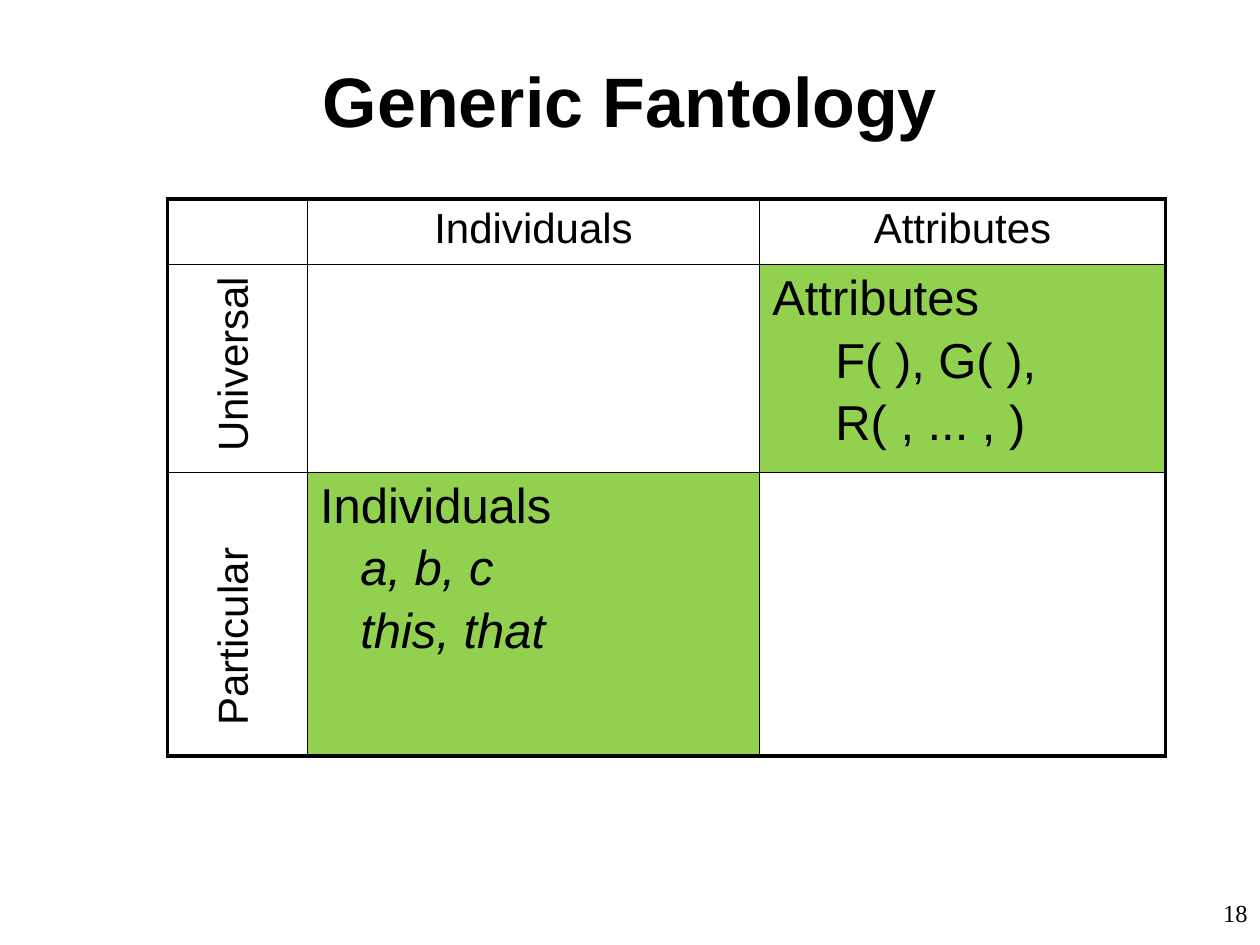
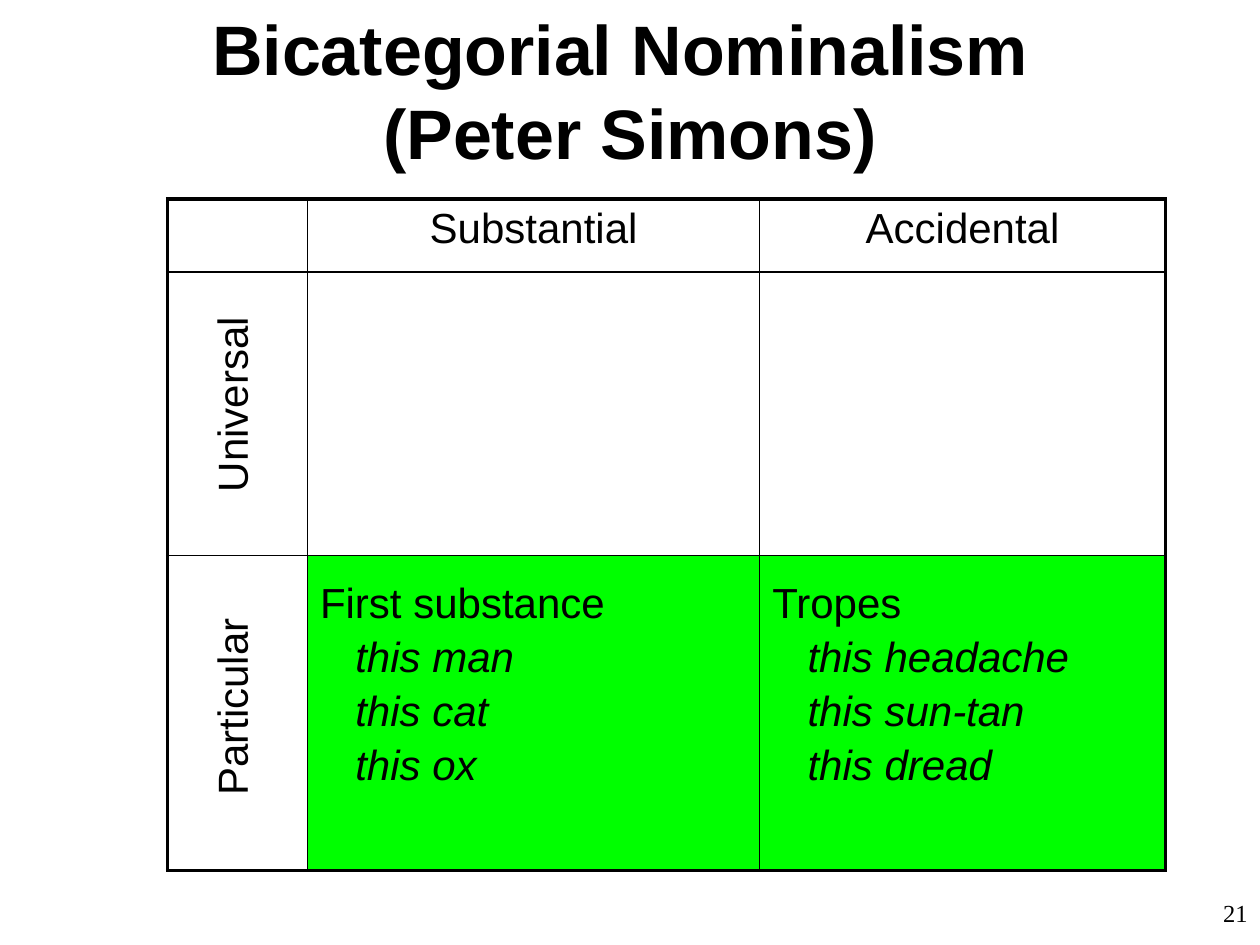
from dataclasses import dataclass, field

from lxml.etree import SubElement
from pptx import Presentation
from pptx.dml.color import RGBColor
from pptx.enum.text import MSO_ANCHOR as Anchor, PP_ALIGN as Align
from pptx.oxml.ns import qn
from pptx.util import Inches, Pt

COLORS = {"ink": "000000", "olive": "92D050", "lime": "00FF00"}
BODY_FONT, NUMBER_FONT = "Arial", "Times New Roman"
COLUMN_WIDTHS = (1.11, 3.59, 3.22)
TABLE_LEFT, TABLE_TOP = 1.33, 1.58
LABEL_WIDTH, LABEL_HEIGHT = 1.69, 0.5
LABEL_SIZE = 24
THIN, THICK = 1, 2.25


@dataclass
class Category:
    """A filled cell: a heading with indented examples."""
    heading: str
    examples: list[str]
    indent: float
    italic: bool = True


@dataclass
class Ontology:
    """One slide with its table of categories."""
    title: str
    title_top: float
    number: str
    headers: tuple[str, str]
    row_heights: tuple[float, float, float]
    label_tops: tuple[float, float]
    fill: str
    text_size: int
    top_margin: float
    categories: dict[tuple[int, int], Category] = field(default_factory=dict)


ONTOLOGIES = [
    Ontology(
        "Generic Fantology", 0.5, "18", ("Individuals", "Attributes"),
        (0.52, 1.65, 2.25), (2.59, 4.76), "olive", 28, 0.05,
        {(1, 2): Category("Attributes", ["F( ), G( ),", "R( , ... , )"], 0.5, False),
         (2, 1): Category("Individuals", ["a, b, c", "this, that"], 0.32)}),
    Ontology(
        "Bicategorial Nominalism \v(Peter Simons)", 0.42, "21",
        ("Substantial", "Accidental"),
        (0.58, 2.25, 2.5), (2.91, 5.32), "lime", 24, 0.2,
        {(2, 1): Category("First substance", ["this man", "this cat", "this ox"], 0.28),
         (2, 2): Category("Tropes", ["this headache", "this sun-tan", "this dread"], 0.28)}),
]


def style(para, size: int, font: str = BODY_FONT, bold: bool = False,
          italic: bool = False, align=Align.LEFT) -> None:
    para.alignment = align
    para.font.name, para.font.size = font, Pt(size)
    para.font.bold, para.font.italic = bold, italic
    para.font.color.rgb = RGBColor.from_string(COLORS["ink"])


def add_text(page, text: str, left: float, top: float, width: float,
             height: float, size: int, **look):
    box = page.shapes.add_textbox(*map(Inches, (left, top, width, height)))
    box.text_frame.word_wrap = True
    para = box.text_frame.paragraphs[0]
    para.text = text
    style(para, size, **look)
    return box


def set_borders(cell, row: int, column: int) -> None:
    """Thick lines around the table, thin lines inside it."""
    outer = {"L": column == 0, "R": column == 2, "T": row == 0, "B": row == 2}
    properties = cell._tc.get_or_add_tcPr()
    for side, is_outer in outer.items():
        line = SubElement(properties, qn(f"a:ln{side}"),
                          w=str(Pt(THICK if is_outer else THIN)))
        fill = SubElement(line, qn("a:solidFill"))
        SubElement(fill, qn("a:srgbClr"), val=COLORS["ink"])


def write_category(cell, category: Category, size: int, top_margin: float) -> None:
    cell.margin_top = Inches(top_margin)
    frame = cell.text_frame
    frame.text = category.heading
    style(frame.paragraphs[0], size)
    for example in category.examples:
        para = frame.add_paragraph()
        para.text = example
        para._p.get_or_add_pPr().set("marL", str(Inches(category.indent)))
        para.space_before = Pt(round(size / 6, 1))
        style(para, size, italic=category.italic)


def add_category_table(page, ontology: Ontology) -> None:
    table = page.shapes.add_table(
        3, 3, Inches(TABLE_LEFT), Inches(TABLE_TOP),
        Inches(sum(COLUMN_WIDTHS)), Inches(sum(ontology.row_heights))).table
    table.first_row = table.horz_banding = False
    for column, width in zip(table.columns, COLUMN_WIDTHS):
        column.width = Inches(width)
    for row, height in zip(table.rows, ontology.row_heights):
        row.height = Inches(height)

    # Borders and fills
    for row in range(3):
        for column in range(3):
            cell = table.cell(row, column)
            set_borders(cell, row, column)
            category = ontology.categories.get((row, column))
            if category:
                cell.fill.solid()
                cell.fill.fore_color.rgb = RGBColor.from_string(COLORS[ontology.fill])
                write_category(cell, category, ontology.text_size, ontology.top_margin)
            else:
                cell.fill.background()

    # Column headers
    for column, header in enumerate(ontology.headers, start=1):
        para = table.cell(0, column).text_frame.paragraphs[0]
        para.text = header
        style(para, LABEL_SIZE, align=Align.CENTER)


def add_ontology(deck, ontology: Ontology) -> None:
    page = deck.slides.add_slide(deck.slide_layouts[6])

    # Page number and title
    add_text(page, ontology.number, 7.67, 7.08, 2.33, 0.42, 14,
             font=NUMBER_FONT, align=Align.RIGHT)
    title = add_text(page, ontology.title, 0.5, ontology.title_top, 9, 0.58, 40,
                     bold=True, align=Align.CENTER)
    title.text_frame.vertical_anchor = Anchor.MIDDLE

    add_category_table(page, ontology)

    # Upright row labels
    for label, top in zip(("Universal", "Particular"), ontology.label_tops):
        box = add_text(page, label, 0.99, top, LABEL_WIDTH, LABEL_HEIGHT, LABEL_SIZE)
        box.rotation = 270


def main() -> None:
    deck = Presentation()
    deck.slide_width, deck.slide_height = Inches(10), Inches(7.5)
    for ontology in ONTOLOGIES:
        add_ontology(deck, ontology)
    deck.save("out.pptx")


if __name__ == "__main__":
    main()
